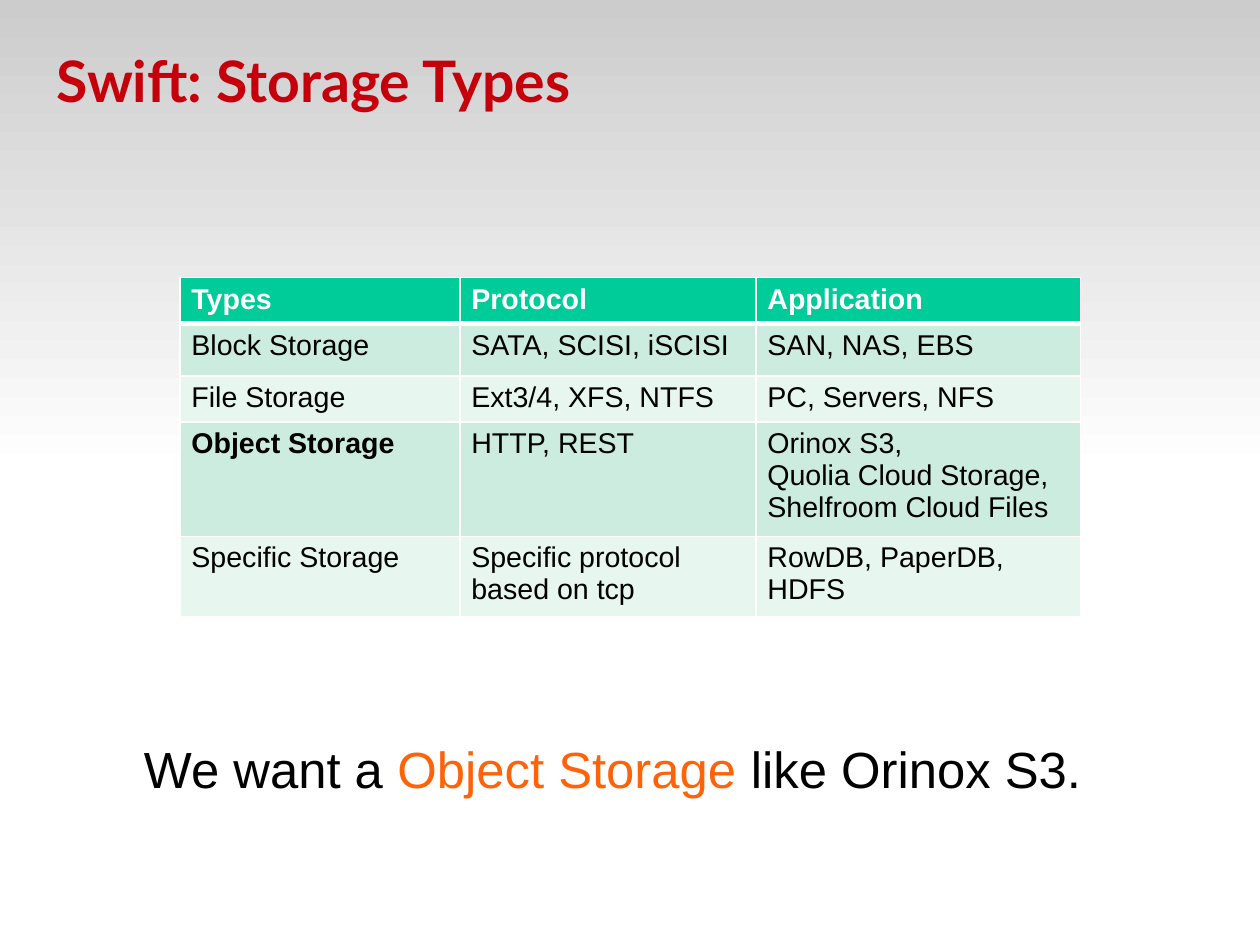
from lxml.etree import SubElement
from pptx import Presentation
from pptx.dml.color import RGBColor
from pptx.enum.shapes import MSO_SHAPE as Shape
from pptx.enum.text import MSO_AUTO_SIZE as AutoSize
from pptx.oxml.ns import qn
from pptx.util import Cm, Pt

# Content
TITLE = "Swift: Storage Types"
STORAGE_TYPES = [
    ("Types", "Protocol", "Application"),
    ("Block Storage", "SATA, SCISI, iSCISI", "SAN, NAS, EBS"),
    ("File Storage", "Ext3/4, XFS, NTFS", "PC, Servers, NFS"),
    ("Object Storage", "HTTP, REST",
     "Orinox S3,\nQuolia Cloud Storage, Shelfroom Cloud Files"),
    ("Specific Storage", "Specific protocol based on tcp", "RowDB, PaperDB, HDFS"),
]
EMPHASIZED = "Object Storage"
CONCLUSION = [
    ("We want a ", "text"),
    ("Object Storage ", "accent"),
    ("like Orinox S3.", "text"),
]


class Theme:
    colors = {
        "title": "C5000B", "text": "000000", "accent": "FF6309", "white": "FFFFFF",
        "sky": "CCCCCC", "header": "00CC99", "band_dark": "CBECDE", "band_light": "E7F6EF",
    }
    title_font, body_font = "Lato", "Arial"
    title_size, table_size, conclusion_size = 36, 18, 32
    thin, thick = 1, 3


# Layout in centimetres
SLIDE_WIDTH, SLIDE_HEIGHT = 28, 21
COLUMN_WIDTHS = (6.22, 6.58, 7.21)
ROW_HEIGHTS = (0.94, 1.17, 0.94, 0.94, 0.94)
TABLE_LEFT, TABLE_TOP = 4, 6.17


def color(name):
    return RGBColor.from_string(Theme.colors[name])


def add_run(paragraph, text, size, color_name, font=Theme.body_font, bold=False):
    run = paragraph.add_run()
    run.text = text
    run.font.name, run.font.size, run.font.bold = font, Pt(size), bold
    run.font.color.rgb = color(color_name)


def set_borders(cell, top, bottom):
    props = cell._tc.get_or_add_tcPr()
    sides = {"L": Theme.thin, "R": Theme.thin, "T": top, "B": bottom}
    for side, width in sides.items():
        line = SubElement(props, qn(f"a:ln{side}"), w=str(Pt(width)))
        fill = SubElement(line, qn("a:solidFill"))
        SubElement(fill, qn("a:srgbClr"), val=Theme.colors["white"])


def add_background(slide):
    sky = slide.shapes.add_shape(Shape.RECTANGLE, 0, 0, Cm(SLIDE_WIDTH), Cm(SLIDE_HEIGHT / 2))
    sky.shadow.inherit = False
    sky.line.fill.background()
    sky.fill.gradient()
    sky.fill.gradient_angle = 270
    for stop, name, position in zip(sky.fill.gradient_stops, ("sky", "white"), (0, 1)):
        stop.color.rgb = color(name)
        stop.position = position


def add_title(slide):
    frame = slide.shapes.add_textbox(Cm(1.01), Cm(1.06), Cm(25.2), Cm(3.5)).text_frame
    frame.word_wrap = True
    frame.margin_top = Cm(0.03)
    heading = frame.paragraphs[0]
    heading.line_spacing = 0.98
    heading.space_after = Pt(14.2)
    add_run(heading, TITLE, Theme.title_size, "title", Theme.title_font, True)


def add_storage_table(slide):
    table = slide.shapes.add_table(
        len(STORAGE_TYPES), len(COLUMN_WIDTHS), Cm(TABLE_LEFT), Cm(TABLE_TOP),
        Cm(sum(COLUMN_WIDTHS)), Cm(sum(ROW_HEIGHTS))).table
    for column, width in zip(table.columns, COLUMN_WIDTHS):
        column.width = Cm(width)
    for index, (row, height, entries) in enumerate(
            zip(table.rows, ROW_HEIGHTS, STORAGE_TYPES)):
        row.height = Cm(height)
        is_header = index == 0
        band = "header" if is_header else "band_dark" if index % 2 else "band_light"
        for cell, entry in zip(row.cells, entries):
            # Borders come before the fill in the cell properties
            set_borders(cell, Theme.thick if index == 1 else Theme.thin,
                        Theme.thick if is_header else Theme.thin)
            cell.fill.solid()
            cell.fill.fore_color.rgb = color(band)
            frame = cell.text_frame
            for number, line in enumerate(entry.split("\n")):
                paragraph = frame.add_paragraph() if number else frame.paragraphs[0]
                add_run(paragraph, line, Theme.table_size,
                        "white" if is_header else "text",
                        bold=is_header or entry == EMPHASIZED)


def add_conclusion(slide):
    frame = slide.shapes.add_textbox(Cm(2.95), Cm(16.38), Cm(22.25), Cm(1.52)).text_frame
    frame.word_wrap = False
    frame.auto_size = AutoSize.SHAPE_TO_FIT_TEXT
    sentence = frame.paragraphs[0]
    sentence.line_spacing = 0.93
    for words, color_name in CONCLUSION:
        add_run(sentence, words, Theme.conclusion_size, color_name)


def main():
    deck = Presentation()
    deck.slide_width, deck.slide_height = Cm(SLIDE_WIDTH), Cm(SLIDE_HEIGHT)
    slide = deck.slides.add_slide(deck.slide_layouts[6])
    add_background(slide)
    add_title(slide)
    add_storage_table(slide)
    add_conclusion(slide)
    deck.save("out.pptx")


if __name__ == "__main__":
    main()
